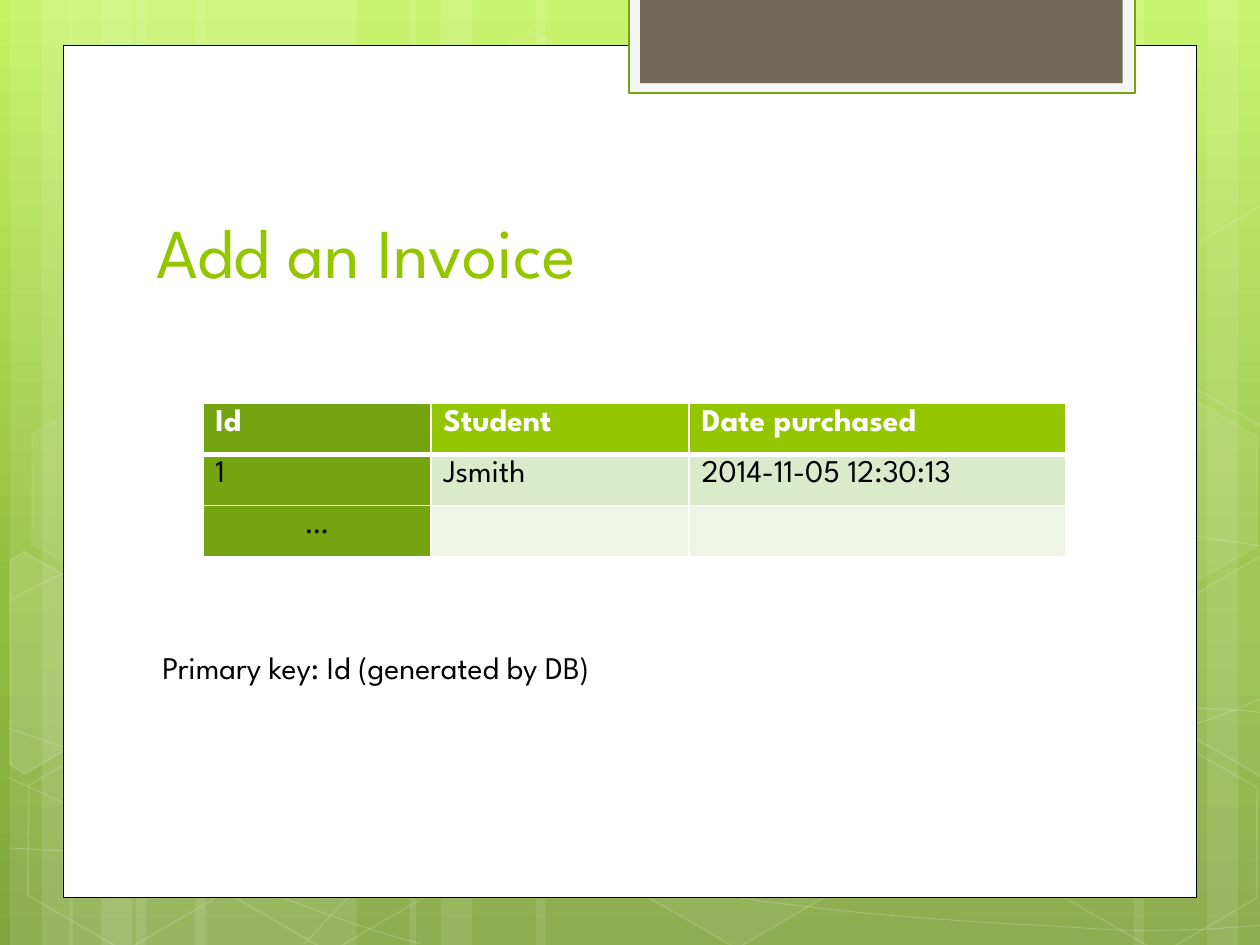
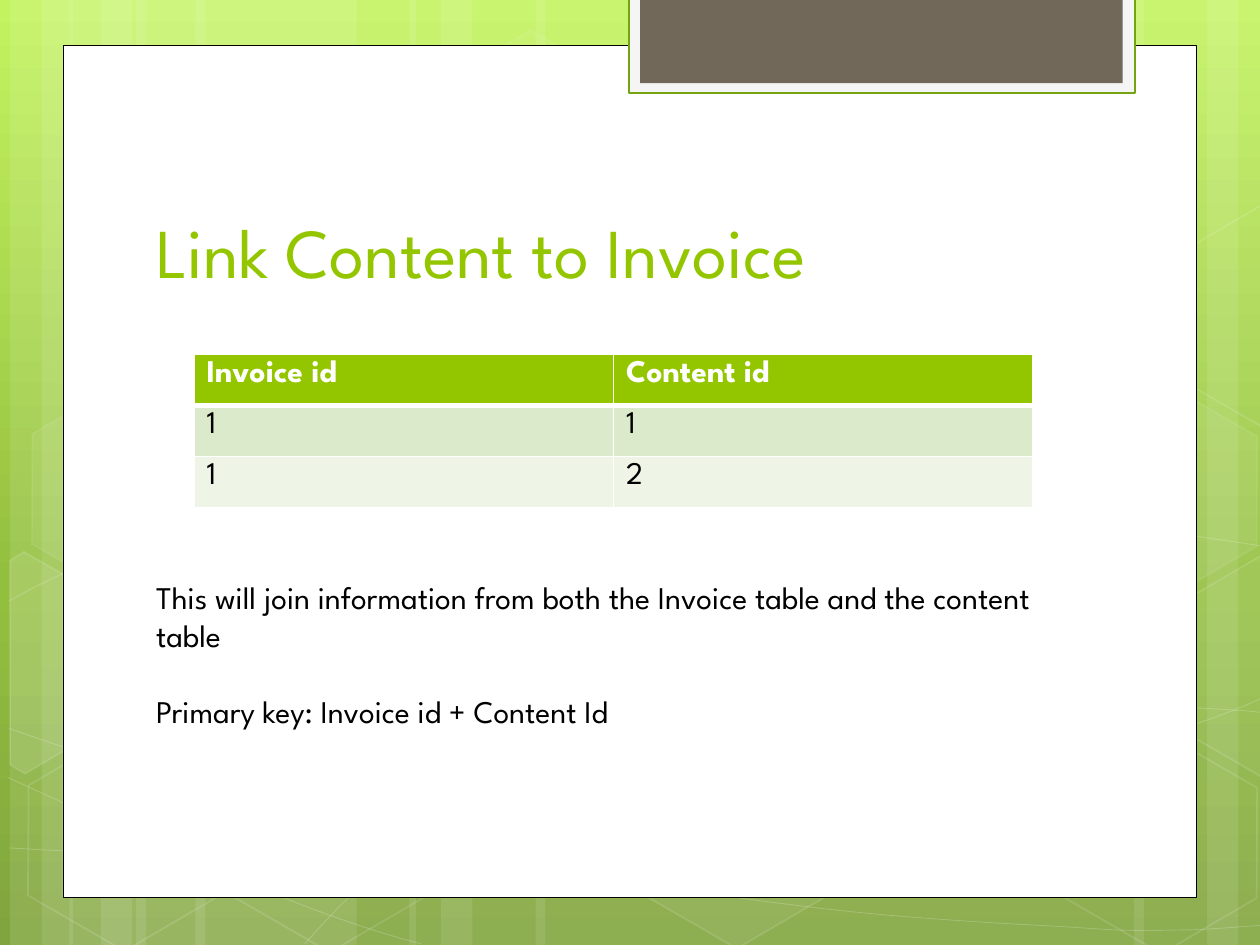
from copy import deepcopy
from lxml.etree import SubElement
from pptx import Presentation
from pptx.dml.color import RGBColor
from pptx.enum.shapes import MSO_SHAPE
from pptx.enum.text import MSO_ANCHOR, PP_ALIGN
from pptx.oxml.ns import qn
from pptx.util import Inches, Pt

FONT = "League Spartan"
WHITE = RGBColor(0xFF, 0xFF, 0xFF)
BLACK = RGBColor(0, 0, 0)
LIME = RGBColor(0x94, 0xC6, 0x00)
GREEN = RGBColor(0x74, 0xA5, 0x10)
TAUPE = RGBColor(0x71, 0x68, 0x5A)
PALE_GREY = RGBColor(0xF5, 0xF5, 0xF5)
ROW_TINTS = (RGBColor(0xDC, 0xEA, 0xCC), RGBColor(0xEE, 0xF5, 0xE7))
SKY_STOPS = (
    (0, RGBColor(0xC3, 0xF3, 0x5F)),
    (0.62, RGBColor(0x93, 0xBF, 0x3F)),
    (1, RGBColor(0x81, 0xA5, 0x3E)),
)

PANEL = (0.5, 0.36, 9, 6.76)
TAB = (4.99, -0.02, 4.02, 0.76)
TAB_CORE = (5.08, -0.02, 3.83, 0.68)
TITLE = (1.14, 1.12, 7.68, 1.25)
TABLE_HEIGHT = 1.22

STRIPES = (
    (1.08, 1.75), (0.08, 0.5), (0.33, 0.83), (1.55, 1.75), (0.55, 0.5), (0.8, 0.83),
    (7.33, 1.75), (9.58, 0.5), (9, 0.83), (4.25, 3.08), (3.25, 0.5), (3.5, 0.83),
)
CURVES = (
    ((0.07, 6.73), (0.61, 6.76), (1.15, 6.79), (1.9, 6.78), (2.65, 6.77), (3.58, 6.75),
     (4.58, 6.65), (5.58, 6.55), (7, 6.36), (7.92, 6.17), (8.83, 5.98), (9.77, 5.68),
     (10.07, 5.51)),
    ((0.07, 4.77), (0.36, 4.61), (0.65, 4.46), (1.21, 4.31), (1.78, 4.16), (2.59, 3.94),
     (3.47, 3.87), (4.36, 3.8), (5.44, 3.79), (6.54, 3.87), (7.64, 3.95), (9.47, 4.26),
     (10.07, 4.34)),
    ((0.06, 6.17), (1.27, 6.72), (2.47, 7.27), (3.34, 7.49)),
    ((0.07, 5.78), (0.38, 5.89), (0.7, 6), (1.28, 6.16), (1.86, 6.31), (2.73, 6.56),
     (3.57, 6.73), (4.4, 6.9), (5.45, 7.08), (6.28, 7.18), (7.11, 7.29), (8, 7.33),
     (8.53, 7.36), (9.05, 7.4), (9.19, 7.38), (9.45, 7.38), (9.71, 7.37), (9.89, 7.35),
     (10.07, 7.34)),
    ((2.42, 7.49), (2.6, 7.29), (2.78, 7.09), (3.02, 6.91), (3.26, 6.73), (3.6, 6.53),
     (3.88, 6.39), (4.16, 6.25), (4.33, 6.19), (4.7, 6.09), (5.06, 5.99), (5.73, 5.85),
     (6.08, 5.78), (6.44, 5.71), (6.49, 5.71), (6.8, 5.69), (7.11, 5.66), (7.6, 5.63),
     (7.94, 5.62), (8.29, 5.61), (8.86, 5.62), (8.86, 5.62), (8.86, 5.62), (9.53, 5.62),
     (9.53, 5.62), (9.71, 5.63), (9.88, 5.64), (9.97, 5.65), (10.06, 5.66), (10.03, 5.65),
     (10.06, 5.66)),
)
HEXAGONS = (
    (3.34, 0.36, 4, 8), (4.97, 5.89, 6, 12), (0.11, 5.91, 0, 12), (0.14, 3.12, 7, 8),
    (1.74, 5.92, 0, 12), (8.34, 5.93, 0, 12), (8.34, 3.14, 7, 8),
)
CUT_HEXAGONS = (
    (((0.08, 4.45), (0.19, 4.38), (0.96, 4.82), (0.95, 5.7), (0.2, 6.14), (0.08, 6.07)), 10),
    (((9.26, 4.85), (10.01, 4.41), (10.09, 4.46), (10.09, 6.13), (10.02, 6.17),
      (9.26, 5.73)), 4),
    (((9.26, 2.07), (10.01, 1.63), (10.1, 1.68), (10.09, 3.35), (10.02, 3.39),
      (9.26, 2.95)), 0),
)


def set_opacity(part, percent):
    """Make the colour of a fill or line partly transparent."""
    for color in part.iter(qn("a:srgbClr")):
        SubElement(color, qn("a:alpha"), val=str(percent * 1000))


def paint(shape, fill=None, line=None, width=1.0, fill_opacity=100, line_opacity=100):
    """Give a shape its fill and line, without a shadow."""
    shape.shadow.inherit = False
    properties = shape._element.spPr
    if fill is None:
        shape.fill.background()
    else:
        shape.fill.solid()
        shape.fill.fore_color.rgb = fill
        if fill_opacity < 100:
            set_opacity(properties.find(qn("a:solidFill")), fill_opacity)
    if line is None:
        shape.line.fill.background()
    else:
        shape.line.color.rgb = line
        shape.line.width = Pt(width)
        if line_opacity < 100:
            set_opacity(properties.find(qn("a:ln")), line_opacity)


def add_preset(page, preset, box, **look):
    """Add a preset shape in a box given in inches."""
    shape = page.shapes.add_shape(preset, *map(Inches, box))
    paint(shape, **look)
    return shape


def add_outline(page, points, close, **look):
    """Add a freeform through points given in inches."""
    corners = [(Inches(x), Inches(y)) for x, y in points]
    builder = page.shapes.build_freeform(*corners[0], scale=1.0)
    builder.add_line_segments(corners[1:], close=close)
    shape = builder.convert_to_shape()
    paint(shape, **look)
    return shape


def bend(shape):
    """Turn each three line segments of a freeform into one Bezier curve."""
    segments = list(shape._element.iter(qn("a:lnTo")))
    outline = segments[0].getparent()
    for start in range(0, len(segments), 3):
        curve = SubElement(outline, qn("a:cubicBezTo"))
        for segment in segments[start:start + 3]:
            curve.append(segment[0])
            outline.remove(segment)


def draw_background(page):
    """Fill the page with the green gradient, stripes, curves and hexagons."""
    fill = page.background.fill
    fill.gradient()
    fill.gradient_angle = 270
    stop_list = page._element.find(".//" + qn("a:gsLst"))
    stop_list.append(deepcopy(stop_list[-1]))
    for stop, (position, color) in zip(fill.gradient_stops, SKY_STOPS):
        stop.position = position
        stop.color.rgb = color
    for left, width in STRIPES:
        add_preset(page, MSO_SHAPE.RECTANGLE, (left, 0, width, 7.5),
                   fill=WHITE, fill_opacity=10)
    for controls in CURVES:
        bend(add_outline(page, controls, False, line=WHITE, width=0.5, line_opacity=20))
    for left, top, opacity, line_opacity in HEXAGONS:
        hexagon = add_preset(page, MSO_SHAPE.HEXAGON, (left, top, 1.75, 1.52),
                             fill=WHITE if opacity else None, fill_opacity=opacity,
                             line=WHITE, line_opacity=line_opacity)
        hexagon.adjustments[0] = 0.285
        hexagon.rotation = 30
    for points, opacity in CUT_HEXAGONS:
        add_outline(page, points, True, fill=WHITE if opacity else None,
                    fill_opacity=opacity, line=WHITE, line_opacity=12)


def draw_panel(page):
    """Draw the white panel and the tab hanging from the top edge."""
    add_preset(page, MSO_SHAPE.RECTANGLE, PANEL, fill=WHITE, line=BLACK, width=0.5)
    add_preset(page, MSO_SHAPE.RECTANGLE, TAB, fill=PALE_GREY, line=GREEN, width=1.25)
    add_preset(page, MSO_SHAPE.RECTANGLE, TAB_CORE, fill=TAUPE)


def set_font(paragraph, size, color, bold=False):
    """Set the font of a whole paragraph."""
    font = paragraph.font
    font.name, font.size, font.bold = FONT, Pt(size), bold
    font.color.rgb = color


def add_text(page, box, lines, size=18, color=BLACK, anchor=MSO_ANCHOR.TOP, wrap=True):
    """Add a text box with one paragraph a line, set one line apart."""
    frame = page.shapes.add_textbox(*map(Inches, box)).text_frame
    frame.word_wrap = wrap
    frame.vertical_anchor = anchor
    for index, line in enumerate(lines):
        paragraph = frame.paragraphs[0] if index == 0 else frame.add_paragraph()
        paragraph.text = line
        set_font(paragraph, size, color)
        if index:
            paragraph.space_before = Pt(21.6)


def set_borders(cell, top, bottom):
    """Give a cell white borders, with its own top and bottom widths."""
    properties = cell._tc.get_or_add_tcPr()
    for index, (side, width) in enumerate((("L", 1), ("R", 1), ("T", top), ("B", bottom))):
        line = SubElement(properties, qn("a:ln" + side), w=str(Pt(width)))
        fill = SubElement(line, qn("a:solidFill"))
        SubElement(fill, qn("a:srgbClr"), val=str(WHITE))
        properties.insert(index, line)


def add_data_table(page, left, top, widths, rows, key_column=False):
    """Add a table with a header row, tinted rows and an optional key column."""
    box = (left, top, sum(widths), TABLE_HEIGHT)
    table = page.shapes.add_table(len(rows), len(widths), *map(Inches, box)).table
    for column, width in zip(table.columns, widths):
        column.width = Inches(width)
    for row_index, row in enumerate(rows):
        header = row_index == 0
        row_color = LIME if header else ROW_TINTS[(row_index - 1) % 2]
        for column_index, text in enumerate(row):
            cell = table.cell(row_index, column_index)
            cell.text = text
            cell.fill.solid()
            is_key = key_column and column_index == 0
            cell.fill.fore_color.rgb = GREEN if is_key else row_color
            paragraph = cell.text_frame.paragraphs[0]
            set_font(paragraph, 18, WHITE if header else BLACK, header)
            if text == "…":
                paragraph.alignment = PP_ALIGN.CENTER
            set_borders(cell, 3 if row_index == 1 else 1, 3 if header else 1)


def add_page(deck, title):
    """Add a page with the shared background, panel and title."""
    page = deck.slides.add_slide(deck.slide_layouts[6])
    draw_background(page)
    draw_panel(page)
    add_text(page, TITLE, [title], 40, LIME, MSO_ANCHOR.BOTTOM)
    return page


def build_invoice_page(deck):
    """Show the invoice table and its primary key."""
    page = add_page(deck, "Add an Invoice")
    rows = (
        ("Id", "Student", "Date purchased"),
        ("1", "Jsmith", "2014-11-05 12:30:13"),
        ("…", "", ""),
    )
    add_data_table(page, 1.61, 3.2, (1.81, 2.05, 2.99), rows, key_column=True)
    add_text(page, (1.19, 5.09, 4.33, 0.4), ["Primary key: Id (generated by DB)"], wrap=False)


def build_link_page(deck):
    """Show the table that links content to invoices."""
    page = add_page(deck, "Link Content to Invoice")
    rows = (("Invoice id", "Content id"), ("1", "1"), ("1", "2"))
    add_data_table(page, 1.54, 2.81, (3.33, 3.33), rows)
    add_text(page, (1.14, 4.54, 7.68, 1.31), [
        "This will join information from both the Invoice table and the content table",
        "Primary key: Invoice id + Content Id",
    ])


def main():
    """Build and save the deck."""
    deck = Presentation()
    deck.slide_width, deck.slide_height = Inches(10), Inches(7.5)
    build_invoice_page(deck)
    build_link_page(deck)
    deck.save("out.pptx")


if __name__ == "__main__":
    main()
